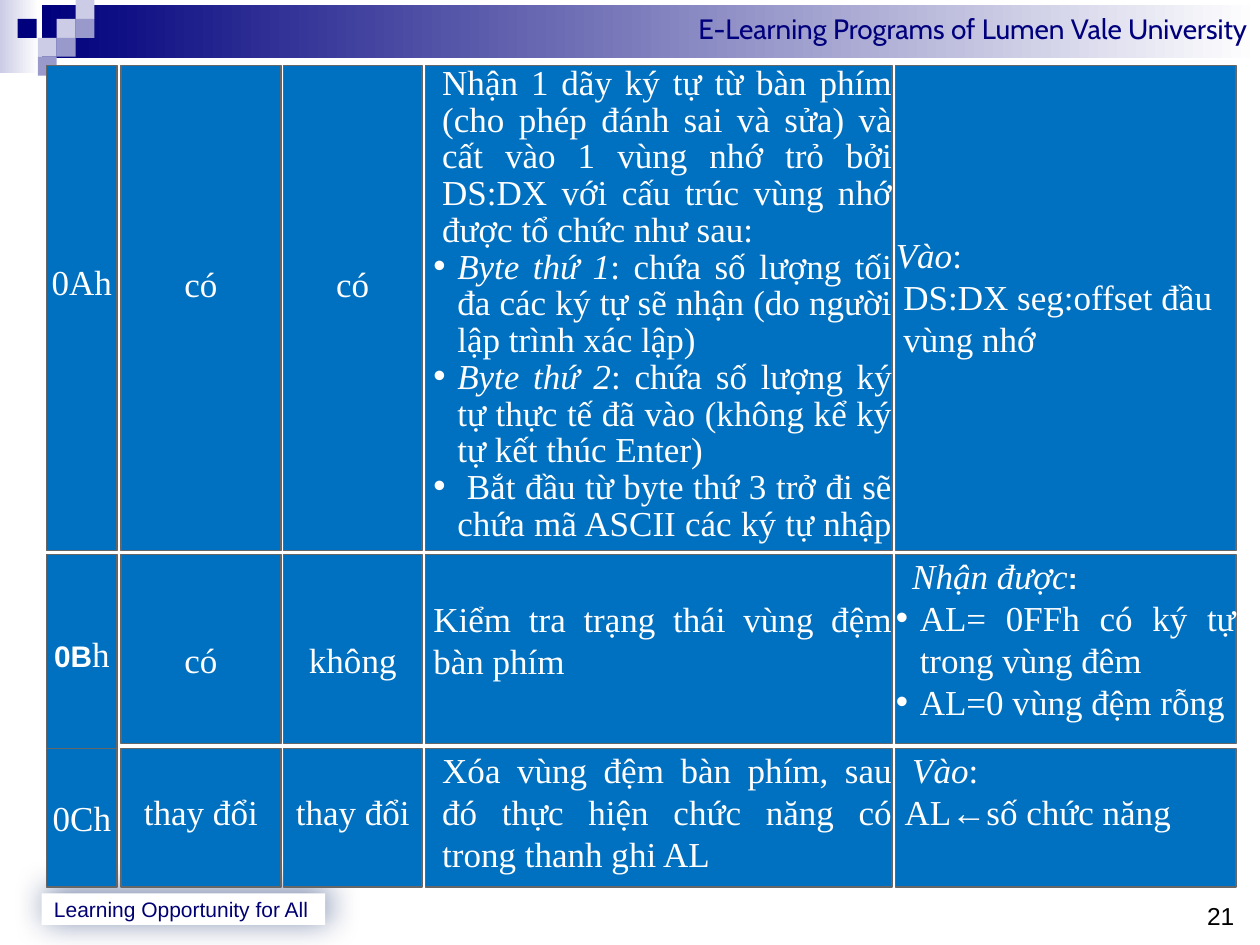
import pptx
import pptx.util
import pptx.dml.color
import pptx.enum.shapes
import pptx.enum.text
import pptx.oxml
import pptx.oxml.ns
import lxml.etree
from dataclasses import dataclass

Inches = pptx.util.Inches
Pt = pptx.util.Pt
Align = pptx.enum.text.PP_ALIGN
Anchor = pptx.enum.text.MSO_ANCHOR


@dataclass(frozen=True)
class Theme:
    navy: str = "00007D"
    lilac: str = "CCCCE6"
    violet: str = "9999CC"
    white: str = "FFFFFF"
    black: str = "000000"
    cell: str = "0070C0"
    border: str = "666666"
    footer: str = "000072"
    shadow: str = "002060"
    serif: str = "Times New Roman"
    sans: str = "Arial"
    header: str = "Cabin"
    body_size: int = 20
    bold_size: int = 17
    header_size: int = 16
    footer_size: int = 12
    number_size: int = 14


THEME = Theme()
HEADER = "E-Learning Programs of Lumen Vale University"
FOOTER = "Learning Opportunity for All"
SLIDE_NUMBER = "21"

SQUARE = 0.15
SQUARES = [
    (0.45, 1, THEME.lilac), (0.6, 0, THEME.lilac), (0.6, 1, THEME.violet),
    (0.3, 2, THEME.lilac), (0.14, 1, THEME.navy), (0.45, 2, THEME.violet),
    (0.3, 3, THEME.violet),
]

COLUMNS = [(0.37, 0.56), (0.96, 1.27), (2.25, 1.1), (3.38, 3.7), (7.11, 2.7)]
ROWS = [(0.52, 3.85), (4.4, 1.5), (5.94, 1.1)]
MERGED_HEIGHTS = {(1, 0): 1.54}


def line(*runs, align=Align.CENTER, left=0, hanging=0, spacing=None):
    return dict(runs=runs, align=align, left=left, hanging=hanging, spacing=spacing)


def justified(*runs, **options):
    return line(*runs, align=Align.JUSTIFY, **options)


def plain(*runs, **options):
    return line(*runs, align=Align.LEFT, **options)


CELLS = [
    [
        (1.55, [line(("0Ah", ""))]),
        (1.56, [line(("có", ""))]),
        (1.56, [line(("có", ""))]),
        (0, [
            justified(("Nhận 1 dãy ký tự từ bàn phím (cho phép đánh sai và sửa) và cất vào 1 vùng nhớ trỏ bởi DS:DX với cấu trúc vùng nhớ được tổ chức như sau:", ""), left=0.13, spacing=21),
            justified(("Byte thứ 1", "italic"), (": chứa số lượng tối đa các ký tự sẽ nhận (do người lập trình xác lập)", ""), left=0.25, hanging=0.19, spacing=21),
            justified(("Byte thứ 2", "italic"), (": chứa số lượng ký tự thực tế đã vào (không kể ký tự kết thúc Enter)", ""), left=0.25, hanging=0.19, spacing=21),
            justified((" Bắt đầu từ byte thứ 3 trở đi sẽ chứa mã ASCII các ký tự nhập ", ""), left=0.25, hanging=0.19, spacing=21),
        ]),
        (1.33, [
            plain(("Vào", "italic"), (":", ""), spacing=24),
            plain(("DS:DX seg:offset đầu vùng nhớ", ""), left=0.06, spacing=24),
        ]),
    ],
    [
        (0.62, [line(("0B", "bold"), ("h", ""))]),
        (0.67, [line(("có", ""))]),
        (0.67, [line(("không", ""))]),
        (0.34, [justified(("Kiểm tra trạng thái vùng đệm bàn phím", ""), left=0.06)]),
        (0, [
            justified(("Nhận được", "italic"), (":", "bold"), left=0.13),
            justified(("AL= 0FFh có ký tự trong vùng đêm ", ""), left=0.19, hanging=0.19),
            justified(("AL=0 vùng đệm rỗng", ""), left=0.19, hanging=0.19),
        ]),
    ],
    [
        (0.38, [line(("0Ch", ""))]),
        (0.33, [line(("thay đổi", ""))]),
        (0.33, [line(("thay đổi", ""))]),
        (0, [justified(("Xóa vùng đệm bàn phím, sau đó thực hiện chức năng có trong thanh ghi AL", ""), left=0.13)]),
        (0, [
            plain(("Vào", "italic"), (":", ""), left=0.13),
            plain(("AL", ""), ("←", "symbol"), ("số chức năng", ""), left=0.07),
        ]),
    ],
]


def rgb(value):
    return pptx.dml.color.RGBColor.from_string(value)


def add_rectangle(slide, left, top, width, height, color, end_color=None):
    shape = slide.shapes.add_shape(
        pptx.enum.shapes.MSO_SHAPE.RECTANGLE,
        Inches(left), Inches(top), Inches(width), Inches(height))
    shape.shadow.inherit = False
    shape.line.fill.background()
    if end_color:
        shape.fill.gradient()
        shape.fill.gradient_angle = 0
        for stop, stop_color, position in zip(shape.fill.gradient_stops, (color, end_color), (0, 1)):
            stop.color.rgb = rgb(stop_color)
            stop.position = position
    else:
        shape.fill.solid()
        shape.fill.fore_color.rgb = rgb(color)
    return shape


def format_run(run, font, size, color):
    run.font.name = font
    run.font.size = Pt(size)
    run.font.color.rgb = rgb(color)


def set_label(shape, text, font, size, color, align=Align.LEFT, anchor=Anchor.TOP):
    frame = shape.text_frame
    frame.text = text
    frame.word_wrap = True
    frame.vertical_anchor = anchor
    frame.paragraphs[0].alignment = align
    format_run(frame.paragraphs[0].runs[0], font, size, color)


def add_child(parent, tag, **attributes):
    child = lxml.etree.SubElement(parent, pptx.oxml.ns.qn(tag))
    for name, value in attributes.items():
        child.set(name, str(value))
    return child


def fill_paragraph(paragraph, content):
    paragraph.alignment = content["align"]
    if content["spacing"]:
        paragraph.line_spacing = Pt(content["spacing"])
    properties = paragraph._p.get_or_add_pPr()
    properties.set("marL", str(Inches(content["left"])))
    properties.set("indent", str(-Inches(content["hanging"])))
    if content["hanging"]:
        add_child(add_child(properties, "a:buClr"), "a:srgbClr", val=THEME.white)
        add_child(properties, "a:buFont", typeface=THEME.sans)
        add_child(properties, "a:buChar", char="•")
    for text, style in content["runs"]:
        run = paragraph.add_run()
        run.text = text
        font = THEME.sans if style in ("bold", "symbol") else THEME.serif
        size = THEME.bold_size if style == "bold" else THEME.body_size
        format_run(run, font, size, THEME.white)
        run.font.bold = style == "bold"
        run.font.italic = style == "italic"


def add_cell(slide, row, column):
    left, width = COLUMNS[column]
    top, height = ROWS[row]
    offset, contents = CELLS[row][column]
    shape = add_rectangle(slide, left, top, width, MERGED_HEIGHTS.get((row, column), height), THEME.cell)
    shape.line.color.rgb = rgb(THEME.border)
    shape.line.width = Pt(0.75)
    frame = shape.text_frame
    frame.word_wrap = True
    frame.vertical_anchor = Anchor.TOP
    frame.margin_left = frame.margin_right = frame.margin_bottom = 0
    frame.margin_top = Inches(offset)
    for index, content in enumerate(contents):
        fill_paragraph(frame.add_paragraph() if index else frame.paragraphs[0], content)


def add_header(slide):
    add_rectangle(slide, 0, 0, 0.31, 0.58, THEME.lilac, THEME.white)
    banner = add_rectangle(slide, 0.33, 0.04, 9.67, 0.42, THEME.navy, THEME.white)
    set_label(banner, HEADER, THEME.header, THEME.header_size, THEME.navy, Align.RIGHT)
    for left, step, color in SQUARES:
        add_rectangle(slide, left, step * SQUARE, SQUARE, SQUARE, color)


def add_footer(slide):
    footer = add_rectangle(slide, 0.33, 7.09, 2.25, 0.25, THEME.white)
    set_label(footer, FOOTER, THEME.sans, THEME.footer_size, THEME.footer, anchor=Anchor.MIDDLE)
    effects = footer._element.spPr.find(pptx.oxml.ns.qn("a:effectLst"))
    shadow = add_child(effects, "a:outerShdw", blurRad=Pt(19), dist=Pt(3), dir=315 * 60000)
    add_child(add_child(shadow, "a:srgbClr", val=THEME.shadow), "a:alpha", val=56000)
    number = slide.shapes.add_textbox(Inches(9.58), Inches(7.1), Inches(0.3), Inches(0.3))
    number.text_frame.margin_left = number.text_frame.margin_right = 0
    set_label(number, SLIDE_NUMBER, THEME.sans, THEME.number_size, THEME.black)


def main():
    presentation = pptx.Presentation()
    presentation.slide_width, presentation.slide_height = Inches(10), Inches(7.5)
    slide = presentation.slides.add_slide(presentation.slide_layouts[6])
    add_header(slide)
    add_footer(slide)
    for row in range(len(ROWS)):
        for column in range(len(COLUMNS)):
            add_cell(slide, row, column)
    presentation.save("out.pptx")


if __name__ == "__main__":
    main()
